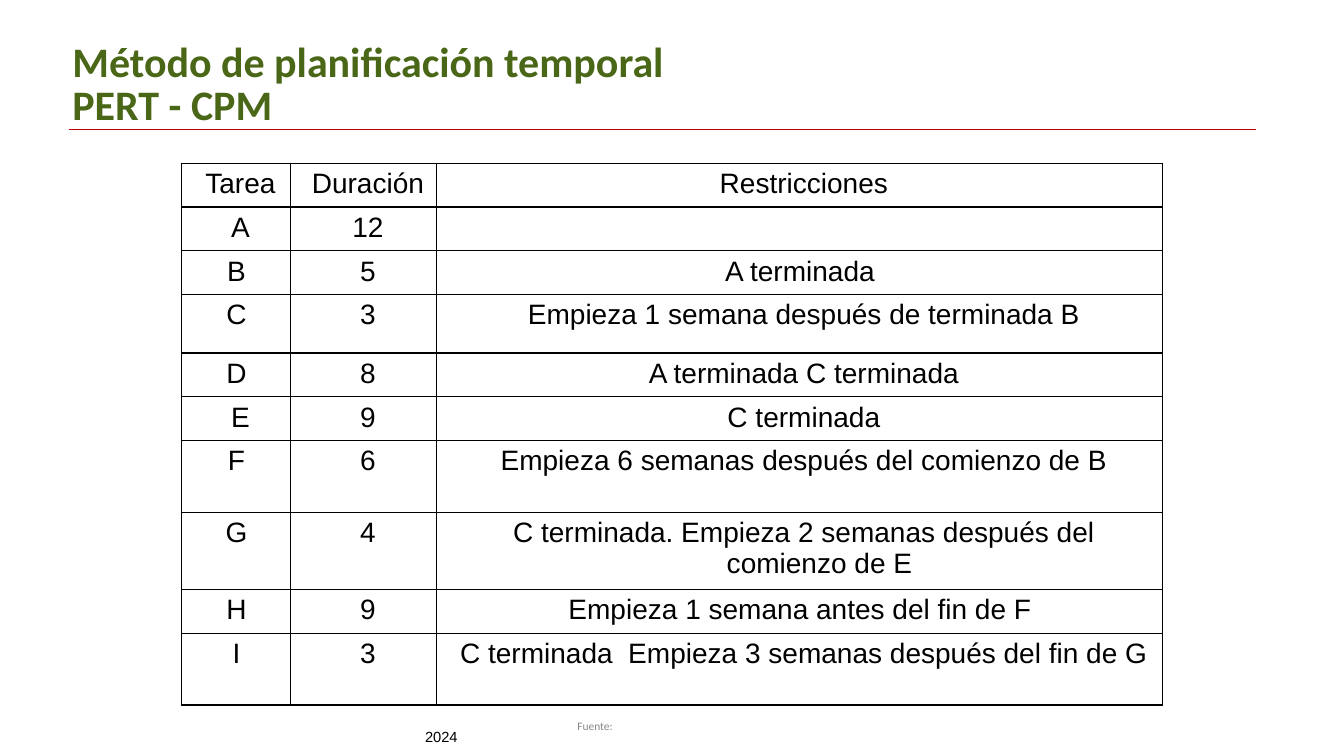
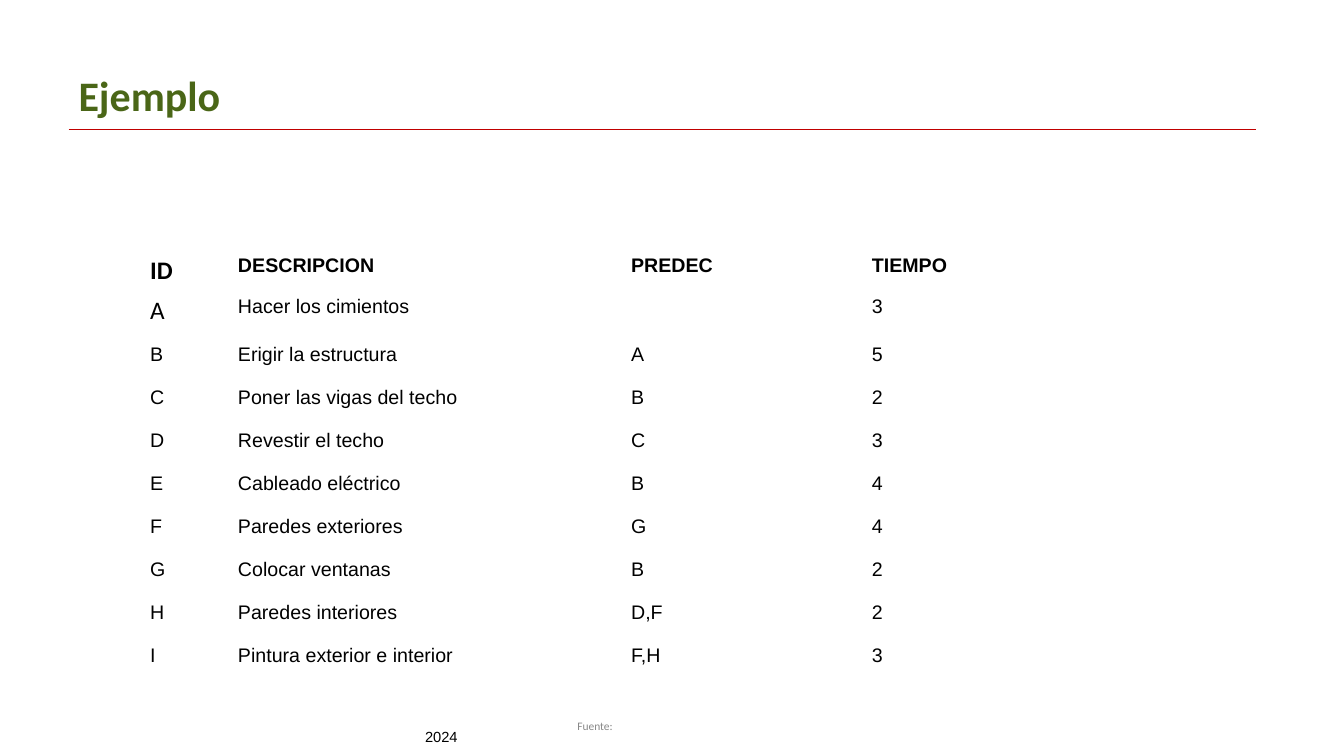
from dataclasses import dataclass

from lxml.etree import SubElement
from pptx import Presentation
from pptx.dml.color import RGBColor as RGB
from pptx.enum.shapes import MSO_CONNECTOR as CONN
from pptx.enum.text import MSO_ANCHOR as ANCHOR, PP_ALIGN as ALIGN
from pptx.oxml.ns import qn
from pptx.util import Pt


@dataclass(frozen=True)
class Theme:
    title: RGB = RGB(0x4A, 0x66, 0x17)
    rule: RGB = RGB(0xC0, 0x00, 0x00)
    text: RGB = RGB(0x00, 0x00, 0x00)
    muted: RGB = RGB(0x88, 0x88, 0x88)
    head_font: str = "Calibri"
    body_font: str = "Arial"
    title_size: float = 30
    grid_size: float = 20
    key_size: float = 18
    list_size: float = 14
    year_size: float = 10.5
    source_size: float = 8.2


T = Theme()

RESTRICTIONS = [
    ("Tarea ", "Duración", "Restricciones"),
    ("A", "12", ""),
    ("B ", "5", "A terminada "),
    ("C ", "3", "Empieza 1 semana después de terminada B"),
    ("D ", "8", "A terminada C terminada"),
    ("E", "9", "C terminada"),
    ("F ", "6", "Empieza 6 semanas después del comienzo de B"),
    ("G ", "4", "C terminada. Empieza 2 semanas después del comienzo de E"),
    ("H ", "9", "Empieza 1 semana antes del fin de F "),
    ("I ", "3", "C terminada  Empieza 3 semanas después del fin de G "),
]

ACTIVITIES = [
    ("ID", "DESCRIPCION", "PREDEC", "TIEMPO"),
    ("A", "Hacer los cimientos", "", "3"),
    ("B", "Erigir la estructura", "A", "5"),
    ("C", "Poner las vigas del techo", "B", "2"),
    ("D", "Revestir el techo", "C", "3"),
    ("E", "Cableado eléctrico", "B", "4"),
    ("F", "Paredes exteriores", "G", "4"),
    ("G", "Colocar ventanas", "B", "2"),
    ("H", "Paredes interiores", "D,F", "2"),
    ("I", "Pintura exterior e interior", "F,H", "3"),
]


def set_font(p, name, size, color, bold=False):
    f = p.font
    f.name, f.size, f.bold = name, Pt(size), bold
    f.color.rgb = color


def add_text(s, box, text, name, size, color, bold=False, inset=(7.2, 3.6)):
    tf = s.shapes.add_textbox(*map(Pt, box)).text_frame
    tf.word_wrap = True
    tf.margin_left = tf.margin_right = Pt(inset[0])
    tf.margin_top = tf.margin_bottom = Pt(inset[1])
    p = tf.paragraphs[0]
    p.text = text
    set_font(p, name, size, color, bold)
    return tf


def add_frame(s):
    line = s.shapes.add_connector(CONN.STRAIGHT, Pt(49), Pt(92.2), Pt(897), Pt(92.2))
    line.line.color.rgb = T.rule
    line.line.width = Pt(0.75)
    SubElement(line._element.spPr, qn("a:effectLst"))
    add_text(s, (296.6, 516.2, 65, 20), "2024", T.body_font, T.year_size, T.text)
    add_text(s, (407.5, 510.5, 52, 15), "Fuente:", T.head_font, T.source_size,
             T.muted, inset=(5, 2.9))


def add_title(s, left, top, text):
    tf = add_text(s, (left, top, 810, 89.3), text, T.head_font, T.title_size,
                  T.title, True)
    tf.vertical_anchor = ANCHOR.MIDDLE
    tf.paragraphs[0].line_spacing = 0.85


def add_grid(s, left, top, widths, heights, rows, style_cell):
    frame = s.shapes.add_table(len(rows), len(widths), Pt(left), Pt(top),
                               Pt(sum(widths)), Pt(sum(heights)))
    table = frame.table
    table.first_row = table.horz_banding = False
    for column, width in zip(table.columns, widths):
        column.width = Pt(width)
    for i, (values, height) in enumerate(zip(rows, heights)):
        table.rows[i].height = Pt(height)
        for j, value in enumerate(values):
            cell = table.cell(i, j)
            cell.text = value
            style_cell(cell, i, j)
            cell.fill.background()


def style_restriction(cell, i, j):
    cell.margin_left = cell.margin_right = Pt(7.9)
    p = cell.text_frame.paragraphs[0]
    p.alignment = ALIGN.CENTER
    set_font(p, T.body_font, T.grid_size, T.text)
    pPr = p._p.get_or_add_pPr()
    pPr.set("marL", str(Pt(28.8)))
    pPr.set("indent", str(Pt(-22.3)))
    tcPr = cell._tc.get_or_add_tcPr()
    for side in ("lnL", "lnR", "lnT", "lnB"):
        ln = SubElement(tcPr, qn(f"a:{side}"), w=str(Pt(1)))
        fill = SubElement(ln, qn("a:solidFill"))
        SubElement(fill, qn("a:srgbClr"), val=str(T.text))


def style_activity(cell, i, j):
    is_key = j == 0 and i < 2
    name, size = (T.head_font, T.key_size) if is_key else (T.body_font, T.list_size)
    set_font(cell.text_frame.paragraphs[0], name, size, T.text, i == 0)


def add_slide(prs):
    s = prs.slides.add_slide(prs.slide_layouts[6])
    add_frame(s)
    return s


def restrictions_slide(prs):
    s = add_slide(prs)
    add_title(s, 44.6, 16.6, "Método de planificación temporal\vPERT - CPM")
    low, mid, high = 29.6, 41.8, 51.3
    heights = [low, low, low, mid, low, low, high, high, low, high]
    add_grid(s, 129.6, 116.6, [77.8, 104.4, 518.4], heights, RESTRICTIONS,
             style_restriction)


def activities_slide(prs):
    s = add_slide(prs)
    add_title(s, 49, 25.9, "Ejemplo")
    add_grid(s, 100, 178.6, [62.8, 280.8, 172, 172],
             [29.2, 34] + [30.7] * 8, ACTIVITIES, style_activity)


def main():
    prs = Presentation()
    prs.slide_width, prs.slide_height = Pt(960), Pt(540)
    restrictions_slide(prs)
    activities_slide(prs)
    prs.save("out.pptx")


if __name__ == "__main__":
    main()
